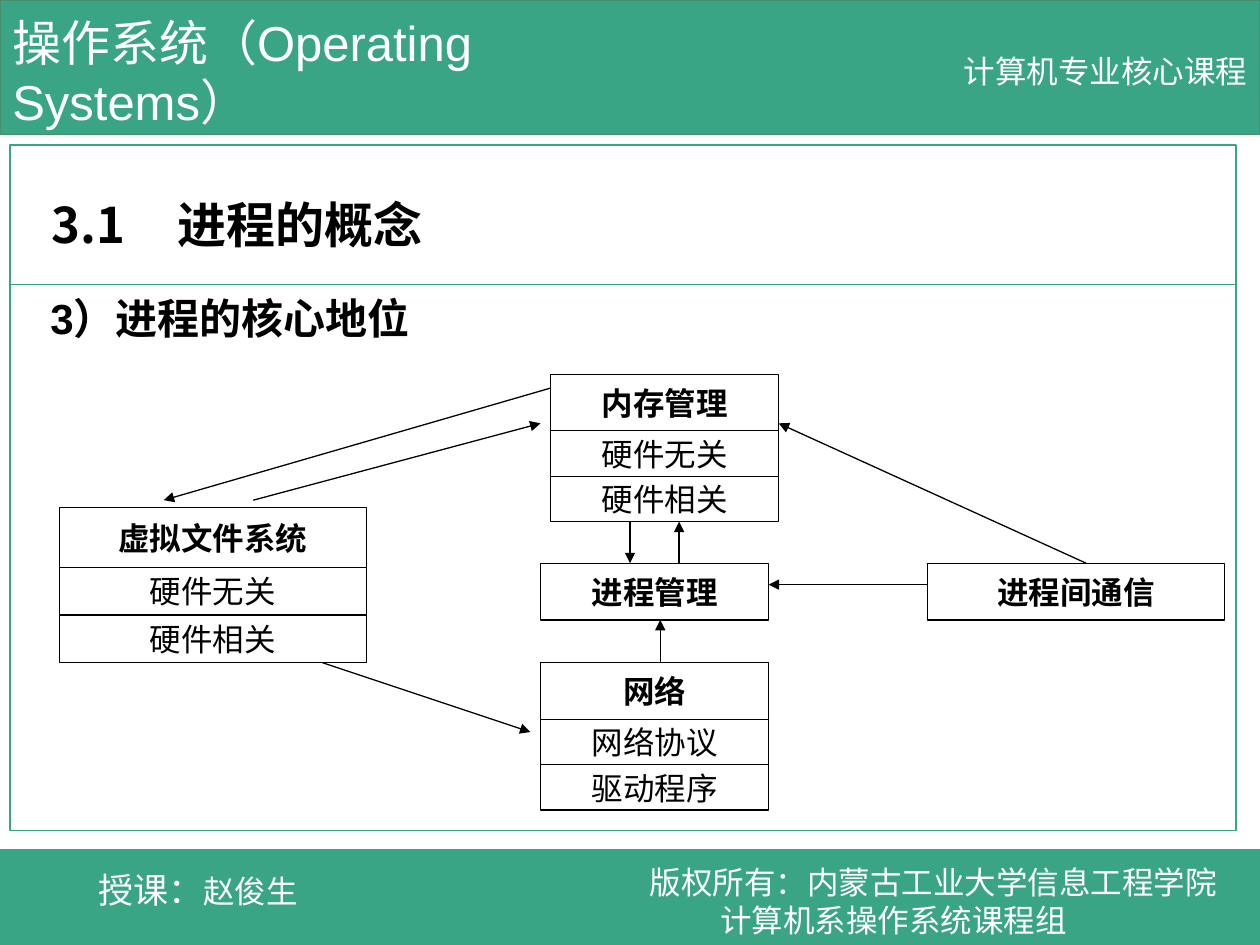
from lxml.etree import SubElement as Sub
from pptx import Presentation
from pptx.dml.color import RGBColor
from pptx.enum.shapes import MSO_CONNECTOR as Link, MSO_SHAPE as Kind
from pptx.enum.text import MSO_ANCHOR as Anchor, MSO_AUTO_SIZE as Fit, PP_ALIGN as Align
from pptx.oxml.ns import qn
from pptx.util import Inches, Pt

GREEN = RGBColor(0x39, 0xA5, 0x84)
EDGE = RGBColor(0x48, 0x8E, 0x69)
WHITE = RGBColor(0xFF, 0xFF, 0xFF)
BLACK = RGBColor(0, 0, 0)
LATIN = "Arial"
HAN = "Noto Sans CJK SC"


def style(run, size, color, bold=False, face=LATIN):
    """Format one run."""
    font = run.font
    font.size, font.bold, font.name = Pt(size), bold, face
    font.color.rgb = color


def panel(slide, box, fill, line):
    """Draw a flat outlined rectangle."""
    shape = slide.shapes.add_shape(Kind.RECTANGLE, *map(Inches, box))
    shape.shadow.inherit = False
    shape.fill.solid()
    shape.fill.fore_color.rgb = fill
    shape.line.color.rgb = line
    shape.line.width = Pt(0.75)
    return shape


def label(slide, box, text, size, wrap=False, face=LATIN):
    """Place white text and return its frame."""
    frame = slide.shapes.add_textbox(*map(Inches, box)).text_frame
    frame.word_wrap = wrap
    frame.vertical_anchor = Anchor.MIDDLE
    frame.text = text
    for para in frame.paragraphs:
        style(para.runs[0], size, WHITE, face=face)
    return frame


def header(slide, box):
    """Draw the course banner."""
    left, top, width, _ = box
    panel(slide, box, GREEN, EDGE)
    label(slide, (left, top + 0.05, 5.79, 1.04), "操作系统（Operating Systems）", 28, True)
    label(slide, (left + width - 2.45, top + 0.36, 2.45, 0.4), "计算机专业核心课程", 18)


def footer(slide, box):
    """Draw the band with teacher and copyright."""
    left, top, _, _ = box
    panel(slide, box, GREEN, GREEN)
    name = label(slide, (left + 0.68, top + 0.1, 1.84, 0.44), "授课：", 20)
    run = name.paragraphs[0].add_run()
    run.text = "赵俊生"
    style(run, 18, WHITE)
    owner = label(slide, (left + 5.06, top + 0.06, 4.94, 0.7),
                  "版权所有：内蒙古工业大学信息工程学院\n计算机系操作系统课程组", 18, True, HAN)
    owner.paragraphs[1]._p.get_or_add_pPr().set("marL", str(Inches(0.56)))


def heading(holder, box, text, size, anchor, wrap):
    """Move a placeholder to the front and set its text."""
    holder.left, holder.top, holder.width, holder.height = map(Inches, box)
    holder.element.getparent().append(holder.element)
    frame = holder.text_frame
    frame.auto_size = Fit.NONE
    frame.word_wrap = wrap
    frame.vertical_anchor = anchor
    frame.text = text
    para = frame.paragraphs[0]
    para.alignment = Align.LEFT
    para.space_before = Pt(0)
    props = para._p.get_or_add_pPr()
    props.set("marL", "0")
    props.set("indent", "0")
    Sub(props, qn("a:buNone"))
    style(para.runs[0], size, BLACK, True)
    return para


def content(slide, box):
    """Draw the two cards with the section title and topic."""
    left, top, width, height = box
    panel(slide, (left, top, width, 1.18), WHITE, GREEN)
    panel(slide, (left, top + 1.11, width, height - 1.11), WHITE, GREEN)
    title, body = slide.placeholders
    para = heading(title, (left + 0.23, top + 0.34, 4.8, 0.57), "3.1\t", 28,
                   Anchor.MIDDLE, True)
    tabs = Sub(para._p.get_or_add_pPr(), qn("a:tabLst"))
    Sub(tabs, qn("a:tab"), pos=str(Inches(0.86)), algn="l")
    para.runs[0].font.name = HAN
    run = para.add_run()
    run.text = "进程的概念"
    style(run, 28, BLACK, True)
    heading(body, (left + 0.22, top + 1.12, 3.13, 0.5), "3）进程的核心地位", 24,
            Anchor.TOP, False)


def stack(slide, box, names):
    """Draw a bold head cell with equal cells below it."""
    left, top, width, height = box
    head = height if len(names) == 1 else height * 0.384
    rest = (height - head) / max(len(names) - 1, 1)
    for i, name in enumerate(names):
        y = top + (head + (i - 1) * rest if i else 0)
        cell = panel(slide, (left, y, width, rest if i else head), WHITE, BLACK)
        frame = cell.text_frame
        frame.word_wrap = False
        frame.vertical_anchor = Anchor.MIDDLE
        frame.text = name
        para = frame.paragraphs[0]
        para.alignment = Align.CENTER
        style(para.runs[0], 18, BLACK, i == 0)


def arrow(slide, start, end):
    """Draw a thin arrow between two points."""
    line = slide.shapes.add_connector(Link.STRAIGHT, *map(Inches, start + end))
    line.line.color.rgb = BLACK
    line.line.width = Pt(0.75)
    props = line.element.spPr
    Sub(props.find(qn("a:ln")), qn("a:tailEnd"), type="triangle")
    Sub(props, qn("a:effectLst"))


def diagram(slide, box):
    """Draw the kernel parts and the arrows between them."""
    x, y, width, height = box
    mid, wide, side = x + 3.82, 1.81, 2.36
    row, base = y + 1.5, y + height - 1.17
    mem, ipc = mid + 0.08, x + width - side
    layers = ["硬件无关", "硬件相关"]
    stack(slide, (mid, row, wide, 0.45), ["进程管理"])
    stack(slide, (mem, y, wide, 1.17), ["内存管理"] + layers)
    stack(slide, (x, y + 1.06, 2.44, 1.23), ["虚拟文件系统"] + layers)
    stack(slide, (mid, base, wide, 1.17), ["网络", "网络协议", "驱动程序"])
    stack(slide, (ipc, row, side, 0.45), ["进程间通信"])
    arrows = [
        ((mid + 1.1, row), (mid + 1.1, y + 1.17)),
        ((mid + 0.71, y + 1.17), (mid + 0.71, row)),
        ((mid + 0.95, base), (mid + 0.95, row + 0.45)),
        ((x + 2.09, base), (mid - 0.08, base + 0.55)),
        ((mem, y + 0.11), (x + 0.83, y + 1)),
        ((x + 1.54, y + 1), (mid, y + 0.39)),
        ((ipc + 1.26, row), (mem + wide, y + 0.39)),
        ((ipc, row + 0.17), (mid + wide, row + 0.17)),
    ]
    for start, end in arrows:
        arrow(slide, start, end)


def main():
    """Build and save the slide."""
    deck = Presentation()
    deck.slide_width, deck.slide_height = Inches(10), Inches(7.5)
    slide = deck.slides.add_slide(deck.slide_layouts[1])
    header(slide, (0, 0, 10, 1.07))
    footer(slide, (0, 6.74, 10, 0.76))
    content(slide, (0.08, 1.15, 9.73, 5.44))
    diagram(slide, (0.47, 2.97, 9.25, 3.46))
    deck.save("out.pptx")


if __name__ == "__main__":
    main()
